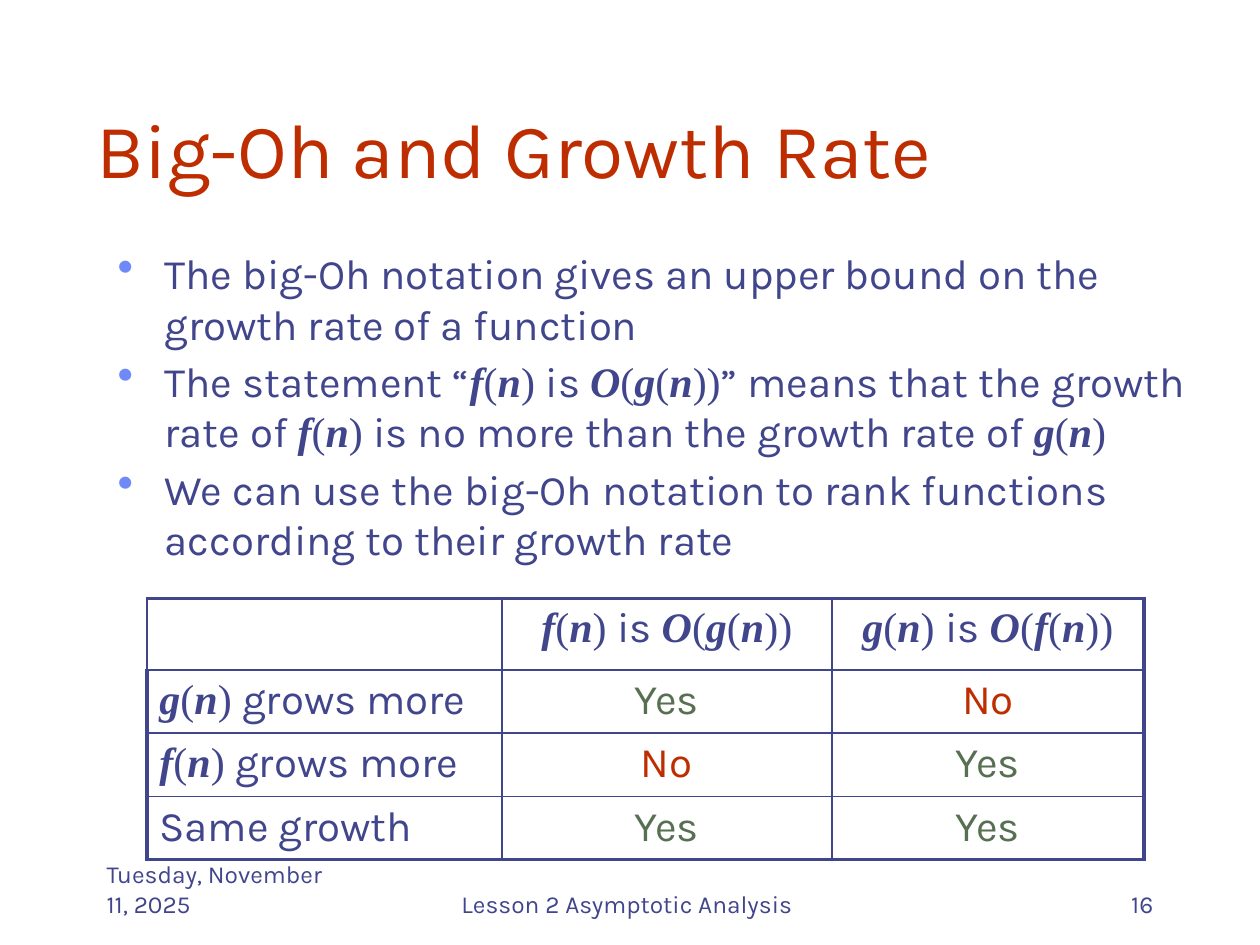
import dataclasses
import itertools

import pptx
import pptx.dml.color
import pptx.enum.text
import pptx.oxml
import pptx.oxml.ns
import pptx.util

Cm, Pt = pptx.util.Cm, pptx.util.Pt
ALIGN = pptx.enum.text.PP_ALIGN
ANCHOR = pptx.enum.text.MSO_ANCHOR


@dataclasses.dataclass(frozen=True)
class Theme:
    ink: str = "40458C"
    red: str = "BE2D00"
    green: str = "577052"
    dot: str = "6F89F7"
    sans: str = "Karla"
    math: str = "Times New Roman"
    head: int = 44
    body: int = 24
    foot: int = 14
    thin: float = 1
    thick: float = 2.25


THEME = Theme()

# Formulas stand between dollar signs.
POINTS = [
    "The big-Oh notation gives an upper bound on the growth rate of a function",
    "The statement “$f(n) $is $O(g(n))$” means that the growth rate of "
    "$f(n) $is no more than the growth rate of $g(n)$",
    "We can use the big-Oh notation to rank functions according to their growth rate",
]
GRID = [
    ["", "$f(n) $is $O(g(n))$", "$g(n) $is $O(f(n))$"],
    ["$g(n) $grows more", "Yes", "No"],
    ["$f(n) $grows more", "No", "Yes"],
    ["Same growth", "Yes", "Yes"],
]
TINTS = {"Yes": THEME.green, "No": THEME.red}


def add_xml(parent, tag, inner="", **attrs):
    """Append one drawing element, given its tag, attributes and inner XML."""
    pairs = " ".join(f'{key}="{val}"' for key, val in attrs.items())
    space = pptx.oxml.ns.nsdecls("a")
    parent.append(pptx.oxml.parse_xml(f"<a:{tag} {space} {pairs}>{inner}</a:{tag}>"))


def write(para, text, size, color=THEME.ink, align=ALIGN.LEFT):
    """Fill a paragraph; letters of formulas turn bold italic."""
    para.alignment = align
    for pos, part in enumerate(text.split("$")):
        math = pos % 2 == 1
        bits = itertools.groupby(part, lambda char: math and char.isalpha())
        for slant, chars in bits:
            run = para.add_run()
            run.text = "".join(chars)
            font = run.font
            font.name = THEME.math if math else THEME.sans
            font.size = Pt(size)
            font.bold = font.italic = slant
            font.color.rgb = pptx.dml.color.RGBColor.from_string(color)


def add_box(slide, box, anchor=ANCHOR.BOTTOM):
    frame = slide.shapes.add_textbox(*map(Cm, box)).text_frame
    frame.word_wrap = True
    frame.vertical_anchor = anchor
    return frame


def add_title(slide, box):
    frame = add_box(slide, box)
    write(frame.paragraphs[0], "Big-Oh and Growth Rate", THEME.head, THEME.red)


def add_points(slide, box):
    frame = add_box(slide, box, ANCHOR.TOP)
    for pos, text in enumerate(POINTS):
        para = frame.add_paragraph() if pos else frame.paragraphs[0]
        props = para._p.get_or_add_pPr()
        props.set("marL", str(Cm(0.95)))
        props.set("indent", str(-Cm(0.95)))
        add_xml(props, "buClr", f'<a:srgbClr val="{THEME.dot}"/>')
        add_xml(props, "buSzPct", val=110000)
        add_xml(props, "buChar", char="•")
        para.space_before = Pt(4 if pos else 0)
        write(para, text, THEME.body)


def add_edges(cell, row, col):
    """Draw thick outer edges and thin inner ones; the header's left is thin."""
    heavy = {
        "lnL": col == 0 and row > 0,
        "lnR": col == len(GRID[0]) - 1,
        "lnT": row == 0,
        "lnB": row == len(GRID) - 1,
    }
    fill = f'<a:solidFill><a:srgbClr val="{THEME.ink}"/></a:solidFill>'
    for tag, thick in heavy.items():
        width = Pt(THEME.thick if thick else THEME.thin)
        add_xml(cell._tc.get_or_add_tcPr(), tag, fill, w=width)


def add_grid(slide, box):
    frame = slide.shapes.add_table(len(GRID), len(GRID[0]), *map(Cm, box))
    table = frame.table
    table.first_row = table.horz_banding = False
    for col, share in zip(table.columns, (0.356, 0.331, 0.313)):
        col.width = Cm(box[2] * share)
    top = 1.45
    rest = (box[3] - top) / (len(GRID) - 1)
    for row, texts in enumerate(GRID):
        table.rows[row].height = Cm(rest if row else top)
        for col, text in enumerate(texts):
            cell = table.cell(row, col)
            add_edges(cell, row, col)
            cell.fill.background()
            align = ALIGN.CENTER if col else ALIGN.LEFT
            tint = TINTS.get(text, THEME.ink)
            write(cell.text_frame.paragraphs[0], text, THEME.body, tint, align)


def add_foot(slide, box):
    left, top, width, high = box
    side, mid = 5.29, 8.04
    parts = [
        ("Tuesday, November 11, 2025", 0, side, ALIGN.LEFT),
        ("Lesson 2 Asymptotic Analysis ", (width - mid) / 2, mid, ALIGN.CENTER),
        ("16", width - side, side, ALIGN.RIGHT),
    ]
    for text, shift, wide, align in parts:
        frame = add_box(slide, (left + shift, top, wide, high))
        write(frame.paragraphs[0], text, THEME.foot, align=align)


def main():
    deck = pptx.Presentation()
    deck.slide_width, deck.slide_height = Cm(25.4), Cm(19.05)
    slide = deck.slides.add_slide(deck.slide_layouts[6])
    add_title(slide, (1.7, 0.85, 21.6, 3.18))
    add_points(slide, (2.12, 4.87, 22.22, 7.2))
    add_grid(slide, (2.96, 12.06, 20.1, 5.2))
    add_foot(slide, (1.9, 17.36, 21.6, 1.27))
    deck.save("out.pptx")


if __name__ == "__main__":
    main()
